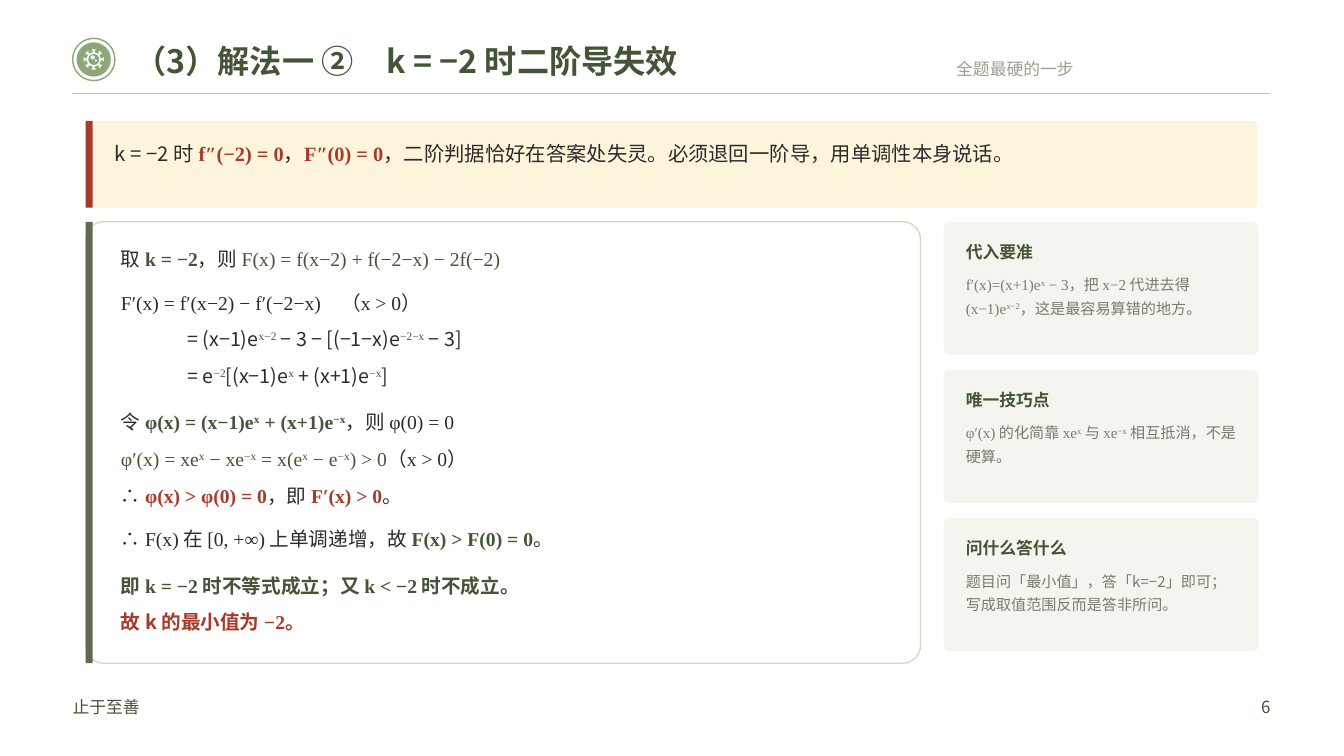
from math import cos, sin, pi
from lxml import etree
from pptx import Presentation
from pptx.dml.color import RGBColor
from pptx.enum.shapes import MSO_CONNECTOR as Connector, MSO_SHAPE as Shape
from pptx.enum.text import MSO_ANCHOR as Anchor, PP_ALIGN as Align
from pptx.oxml.ns import qn
from pptx.util import Inches, Pt

# Palette and run styles: font, colour, bold
SANS, SERIF = "Noto Sans CJK SC", "Times New Roman"
GREEN, RED, INK, GREY = "445437", "A63A2B", "2B2B2B", "767D6E"
LEAF, PALE, MUTED, WHITE = "8DA778", "F4F5EE", "9A9F8E", "FFFFFF"
TEXT, MATH = (SANS, INK, False), (SERIF, INK, False)
KEY, KEY_BOLD, ALERT = (SERIF, GREEN, False), (SERIF, GREEN, True), (SERIF, RED, True)
HEAD, HEAD_RED = (SANS, GREEN, True), (SANS, RED, True)
NOTE, NOTE_MATH = (SANS, GREY, False), (SERIF, GREY, False)
LABEL, ASIDE = (SANS, GREEN, False), (SANS, MUTED, False)

# Content: runs are (text, style); ^...^ marks a superscript
TITLE = [("（3）解法一 ②　k = −2 时二阶导失效", HEAD)]
SUBTITLE = [("全题最硬的一步", ASIDE)]
BANNER = [
    ("k = −2 时 ", TEXT), ("f″(−2) = 0", ALERT), ("，", TEXT), ("F″(0) = 0", ALERT),
    ("，二阶判据恰好在答案处失灵。必须退回一阶导，用单调性本身说话。", TEXT),
]
# Proof lines: space before (pt), left indent (in), runs
PROOF = [
    (0, 0, [("取 ", TEXT), ("k = −2", KEY_BOLD), ("，则 ", TEXT),
            ("F(x) = f(x−2) + f(−2−x) − 2f(−2)", KEY)]),
    (8, 0, [("F′(x) = f′(x−2) − f′(−2−x)", MATH), ("　（", TEXT),
            ("x > 0", MATH), ("）", TEXT)]),
    (3, 0.66, [("= (x−1)e", TEXT), ("^x−2^", KEY), (" − 3 − [(−1−x)e", TEXT),
               ("^−2−x^", KEY), (" − 3]", TEXT)]),
    (3, 0.66, [("= e", TEXT), ("^−2^", KEY), ("[(x−1)e", TEXT), ("^x^", KEY),
               (" + (x+1)e", TEXT), ("^−x^", KEY), ("]", TEXT)]),
    (10, 0, [("令 ", TEXT), ("φ(x) = (x−1)e^x^ + (x+1)e^−x^", KEY_BOLD),
             ("，则 ", TEXT), ("φ(0) = 0", MATH)]),
    (3, 0, [("φ′(x) = xe^x^ − xe^−x^ = x(e^x^ − e^−x^) > 0", KEY), ("（", TEXT),
            ("x > 0", MATH), ("）", TEXT)]),
    (3, 0, [("∴ ", TEXT), ("φ(x) > φ(0) = 0", ALERT), ("，即 ", TEXT),
            ("F′(x) > 0", ALERT), ("。", TEXT)]),
    (8, 0, [("∴ ", TEXT), ("F(x)", MATH), (" 在 ", TEXT), ("[0, +∞)", MATH),
            (" 上单调递增，故 ", TEXT), ("F(x) > F(0) = 0", KEY_BOLD), ("。", TEXT)]),
    (10, 0, [("即 ", HEAD), ("k = −2", KEY_BOLD), (" 时不等式成立；又 ", HEAD),
             ("k < −2", KEY_BOLD), (" 时不成立。", HEAD)]),
    (3, 0, [("故 k 的最小值为 ", HEAD_RED), ("−2", ALERT), ("。", HEAD_RED)]),
]
TIPS = [
    ("代入要准", [("f′(x)=(x+1)e^x^ − 3", NOTE_MATH), ("，把 ", NOTE), ("x−2", NOTE_MATH),
               (" 代进去得 ", NOTE), ("(x−1)e^x−2^", NOTE_MATH),
               ("，这是最容易算错的地方。", NOTE)]),
    ("唯一技巧点", [("φ′(x)", NOTE_MATH), (" 的化简靠 ", NOTE), ("xe^x^", NOTE_MATH),
                (" 与 ", NOTE), ("xe^−x^", NOTE_MATH), (" 相互抵消，不是硬算。", NOTE)]),
    ("问什么答什么", [("题目问「最小值」，答「k=−2」即可；写成取值范围反而是答非所问。", NOTE)]),
]

deck = Presentation()
deck.slide_width, deck.slide_height = Inches(13.33), Inches(7.5)
page = deck.slides.add_slide(deck.slide_layouts[6])


def color(code):
    return RGBColor.from_string(code)


def paint(shape, fill=None, line=None):
    shape.shadow.inherit = False
    if fill:
        shape.fill.solid()
        shape.fill.fore_color.rgb = color(fill)
    else:
        shape.fill.background()
    if line:
        shape.line.color.rgb = color(line)
        shape.line.width = Pt(1)
    else:
        shape.line.fill.background()


def add_block(kind, left, top, width, height, fill=None, line=None):
    block = page.shapes.add_shape(
        kind, Inches(left), Inches(top), Inches(width), Inches(height))
    if kind == Shape.ROUNDED_RECTANGLE:
        block.adjustments[0] = 0.04
    paint(block, fill, line)


def add_disc(x, y, radius, fill=None, line=None):
    add_block(Shape.OVAL, x - radius, y - radius, 2 * radius, 2 * radius, fill, line)


def add_span(para, text, style, size, raised):
    font, tint, bold = style
    span = para.add_run()
    span.text = text
    span.font.size = Pt(size)
    span.font.bold = bold
    span.font.color.rgb = color(tint)
    span.font.name = font
    props = span.font._element
    etree.SubElement(props, qn("a:ea")).set("typeface", font)
    if raised:
        props.set("baseline", "30000")


def add_text(left, top, width, height, lines, size, spacing=1.28,
             align=Align.LEFT, anchor=Anchor.TOP):
    box = page.shapes.add_textbox(
        Inches(left), Inches(top), Inches(width), Inches(height))
    frame = box.text_frame
    frame.word_wrap = True
    frame.vertical_anchor = anchor
    frame.margin_left = frame.margin_right = frame.margin_top = frame.margin_bottom = 0
    for index, (before, indent, runs) in enumerate(lines):
        para = frame.add_paragraph() if index else frame.paragraphs[0]
        para.alignment = align
        para.line_spacing = spacing
        if before:
            para.space_before = Pt(before)
        if indent:
            para._p.get_or_add_pPr().set("marL", str(Inches(indent)))
        for text, style in runs:
            for part, piece in enumerate(text.split("^")):
                if piece:
                    add_span(para, piece, style, size, raised=part % 2 == 1)


def single(runs):
    return [(0, 0, runs)]


# Header emblem: ringed disc with an eight-spoked germ
add_disc(0.93, 0.59, 0.21, line=LEAF)
add_disc(0.93, 0.59, 0.17, fill=LEAF)
SPOKE = [(0.07, -0.01), (0.09, -0.01), (0.09, -0.02), (0.1, -0.02),
         (0.1, 0.02), (0.09, 0.02), (0.09, 0.01), (0.07, 0.01)]
outline = []
for step in range(8):
    turn = step * pi / 4
    outline += [(Inches(0.93 + out * cos(turn) - side * sin(turn)),
                 Inches(0.59 + out * sin(turn) + side * cos(turn)))
                for out, side in SPOKE]
builder = page.shapes.build_freeform(*outline[0])
builder.add_line_segments(outline[1:], close=True)
paint(builder.convert_to_shape(), WHITE)
add_disc(0.93, 0.59, 0.055, LEAF)
add_disc(0.92, 0.57, 0.02, WHITE)
add_disc(0.95, 0.6, 0.01, WHITE)

# Header rule and titles
rule = page.shapes.add_connector(
    Connector.STRAIGHT, Inches(0.71), Inches(0.93), Inches(12.6), Inches(0.93))
rule.line.color.rgb = color("BFBFBF")
rule.line.width = Pt(0.5)
etree.SubElement(rule._element.spPr, qn("a:effectLst"))
add_text(1.33, 0.38, 9.66, 0.44, single(TITLE), 23, 1.0, anchor=Anchor.MIDDLE)
add_text(7.1, 0.53, 3.55, 0.3, single(SUBTITLE), 12, align=Align.RIGHT)

# Banner and proof card, each with an accent bar
add_block(Shape.ROUNDED_RECTANGLE, 0.85, 1.2, 11.62, 0.86, "FDF4DC")
add_block(Shape.RECTANGLE, 0.85, 1.2, 0.07, 0.86, RED)
add_text(1.14, 1.32, 11.1, 0.66, single(BANNER), 14.5, 1.35)
add_block(Shape.ROUNDED_RECTANGLE, 0.85, 2.2, 8.28, 4.38, WHITE, "D5D8C7")
add_block(Shape.RECTANGLE, 0.85, 2.2, 0.07, 4.38, "5E6B4E")
add_text(1.2, 2.36, 7.7, 4.1, PROOF, 14, 1.38)

# Tip cards
for row, (heading, note) in enumerate(TIPS):
    top = 2.2 + row * 1.47
    add_block(Shape.ROUNDED_RECTANGLE, 9.36, top, 3.12, 1.32, PALE)
    add_text(9.58, top + 0.14, 2.7, 0.28, single([(heading, HEAD)]), 12)
    add_text(9.58, top + 0.48, 2.7, 0.76, single(note), 10.8, 1.3)

# Footer
add_text(0.72, 6.86, 2.2, 0.32, single([("止于至善", LABEL)]), 12)
add_text(11.2, 6.86, 1.4, 0.32, single([("6", LABEL)]), 12, align=Align.RIGHT)

deck.save("out.pptx")
